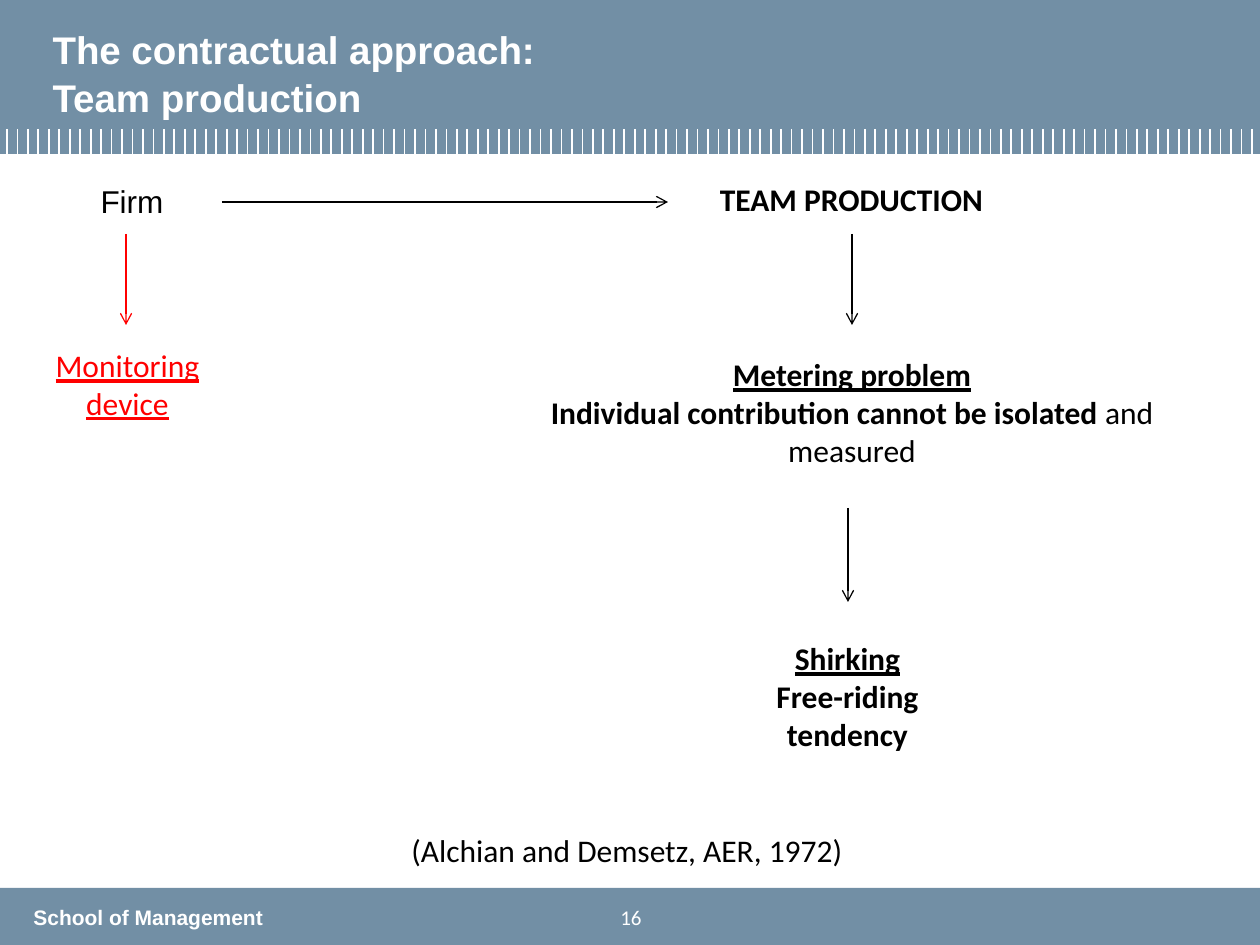
from lxml import etree
from pptx import Presentation
from pptx import util as u
from pptx.dml.color import RGBColor
from pptx.enum import shapes, text
from pptx.oxml import ns

SCALE = 914400 / 126
HUES = {"band": "728FA5", "white": "FFFFFF", "black": "000000", "red": "FF0000"}
BODY = {"size": u.Pt(18), "name": "Calibri"}
HEAD = {"size": u.Pt(22), "name": "Arial", "bold": True}
FOOT = {"size": u.Pt(12), "name": "Arial", "bold": True}
PAGE = {"size": u.Pt(12), "name": "Calibri"}
BOLD = {**BODY, "bold": True}
KEY = {**BOLD, "underline": True}
MID = text.PP_ALIGN.CENTER
LEFT = text.PP_ALIGN.LEFT


def px(num):
    """Turn px into EMU."""
    return u.Emu(round(num * SCALE))


def hue(key):
    """Give the named colour."""
    return RGBColor.from_string(HUES[key])


def style(font, form, key):
    """Set each font value and the colour."""
    for name, val in form.items():
        setattr(font, name, val)
    font.color.rgb = hue(key)


def block(slide, box):
    """Draw a plain filled band."""
    shape = slide.shapes.add_shape(shapes.MSO_SHAPE.RECTANGLE, *map(px, box))
    shape.shadow.inherit = False
    shape.fill.solid()
    shape.fill.fore_color.rgb = hue("band")
    shape.line.fill.background()


def line(slide, start, end, key="black", width=0.75, arrow=True):
    """Draw a straight line, with an arrowhead if wanted."""
    link = slide.shapes.add_connector(
        shapes.MSO_CONNECTOR.STRAIGHT, *map(px, start + end))
    link.line.color.rgb = hue(key)
    link.line.width = u.Pt(width)
    if arrow:
        etree.SubElement(link.line._get_or_add_ln(), ns.qn("a:tailEnd"), type="arrow")
    etree.SubElement(link._element.spPr, ns.qn("a:effectLst"))


def label(slide, box, paras, key="black", align=MID, wrap=True, mid=False):
    """Write paragraphs of (words, format) runs in a box."""
    frame = slide.shapes.add_textbox(*map(px, box)).text_frame
    frame.word_wrap = wrap
    if mid:
        frame.vertical_anchor = text.MSO_ANCHOR.MIDDLE
    for num, runs in enumerate(paras):
        para = frame.add_paragraph() if num else frame.paragraphs[0]
        para.alignment = align
        for words, form in runs:
            run = para.add_run()
            run.text = words
            style(run.font, form, key)


def header(slide, box):
    """Place the top band, its row of ticks and the title."""
    x, y, wide, high = box
    block(slide, box)
    first, last, count = x + 7, x + wide - 8, 120
    step = (last - first) / (count - 1)
    for num in range(count):
        at = first + num * step
        line(slide, (at, y + high - 25), (at, y + high), "white", 1, False)
    title = slide.shapes.title
    spot = {"left": x + 40, "top": y + 19, "width": wide - 78, "height": 110}
    for name, val in spot.items():
        setattr(title, name, px(val))
    frame = title.text_frame
    frame.text = "The contractual approach:\vTeam production"
    frame.vertical_anchor = text.MSO_ANCHOR.TOP
    frame.auto_size = text.MSO_AUTO_SIZE.NONE
    para = frame.paragraphs[0]
    para.alignment = LEFT
    para.line_spacing = u.Pt(27)
    for run in para.runs:
        style(run.font, HEAD, "white")
    slide.shapes._spTree.append(title._element)


def footer(slide, box):
    """Place the bottom band with school and page number."""
    x, y, wide, high = box
    block(slide, box)
    label(slide, (x + 21, y + 10, 257, 38), [[("School of Management", FOOT)]],
          "white", LEFT, False)
    label(slide, (x + 484, y + 4, 294, 50), [[("16", PAGE)]], "white", mid=True)


def firm(slide, box):
    """Place the firm and its monitoring device."""
    x, y, wide, high = box
    label(slide, (x + 15, y + 2, 168, 64),
          [[("Firm", {**BODY, "name": "Arial"})]])
    line(slide, (x + 93, y + 60), (x + 93, y + 151), "red")
    label(slide, (x, y + 166, wide, 89),
          [[("Monitoring device", {**BODY, "underline": True})]], "red")


def team(slide, box):
    """Place the chain from team production to shirking."""
    x, y, wide, high = box
    label(slide, (x + 179, y, 367, 50), [[("TEAM PRODUCTION", BOLD)]])
    line(slide, (x + 363, y + 60), (x + 363, y + 151))
    label(slide, (x, y + 175, wide, 127),
          [[("Metering problem", KEY)],
           [("Individual contribution cannot be isolated", BOLD),
            (" and measured", BODY)]])
    line(slide, (x + 359, y + 334), (x + 359, y + 428))
    label(slide, (x + 264, y + 459, 189, 127),
          [[("Shirking", KEY), (" Free-riding tendency", BOLD)]])


def main():
    """Build and save the slide."""
    deck = Presentation()
    deck.slide_width, deck.slide_height = px(1260), px(945)
    slide = deck.slides.add_slide(deck.slide_layouts[5])
    header(slide, (0, 0, 1260, 154))
    footer(slide, (0, 888, 1265, 60))
    firm(slide, (33, 174, 189, 255))
    line(slide, (222, 202), (668, 202))
    team(slide, (489, 174, 726, 586))
    label(slide, (399, 825, 461, 50),
          [[("(Alchian and Demsetz, AER, 1972)", BODY)]], align=LEFT, wrap=False)
    deck.save("out.pptx")


if __name__ == "__main__":
    main()
